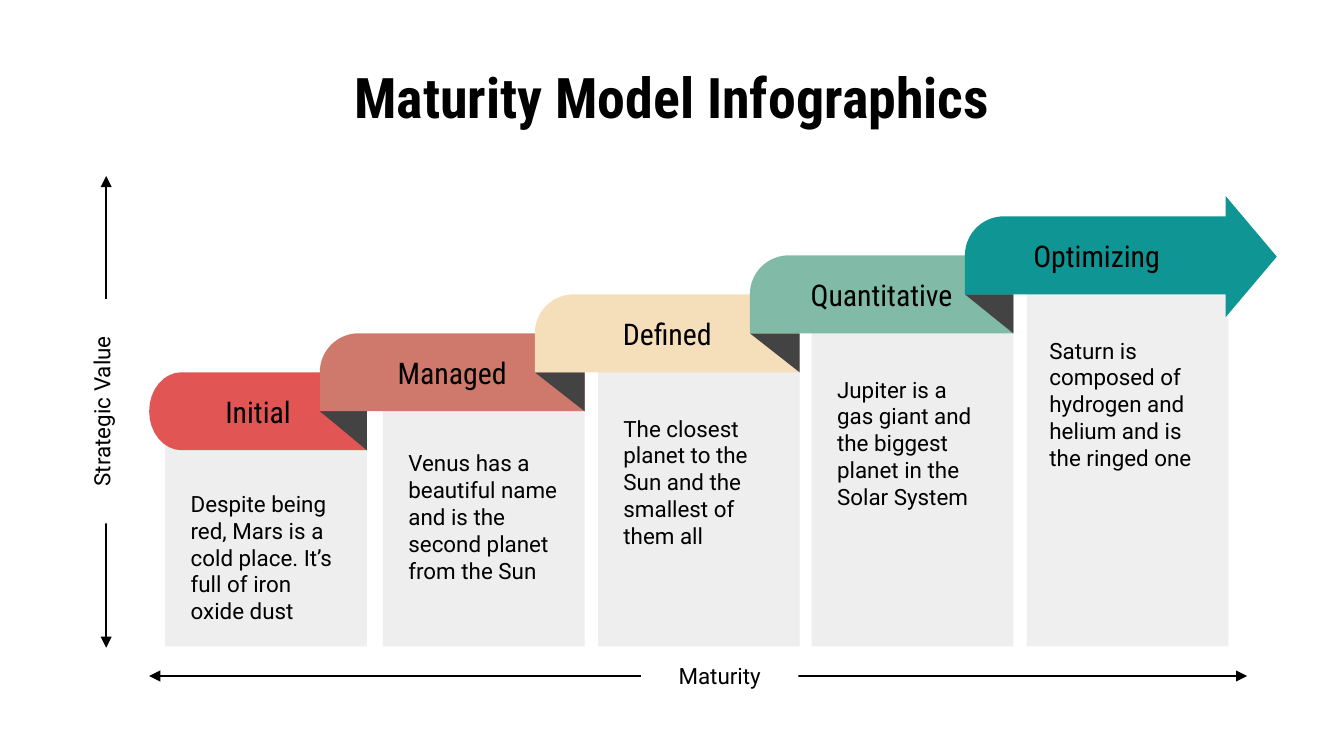
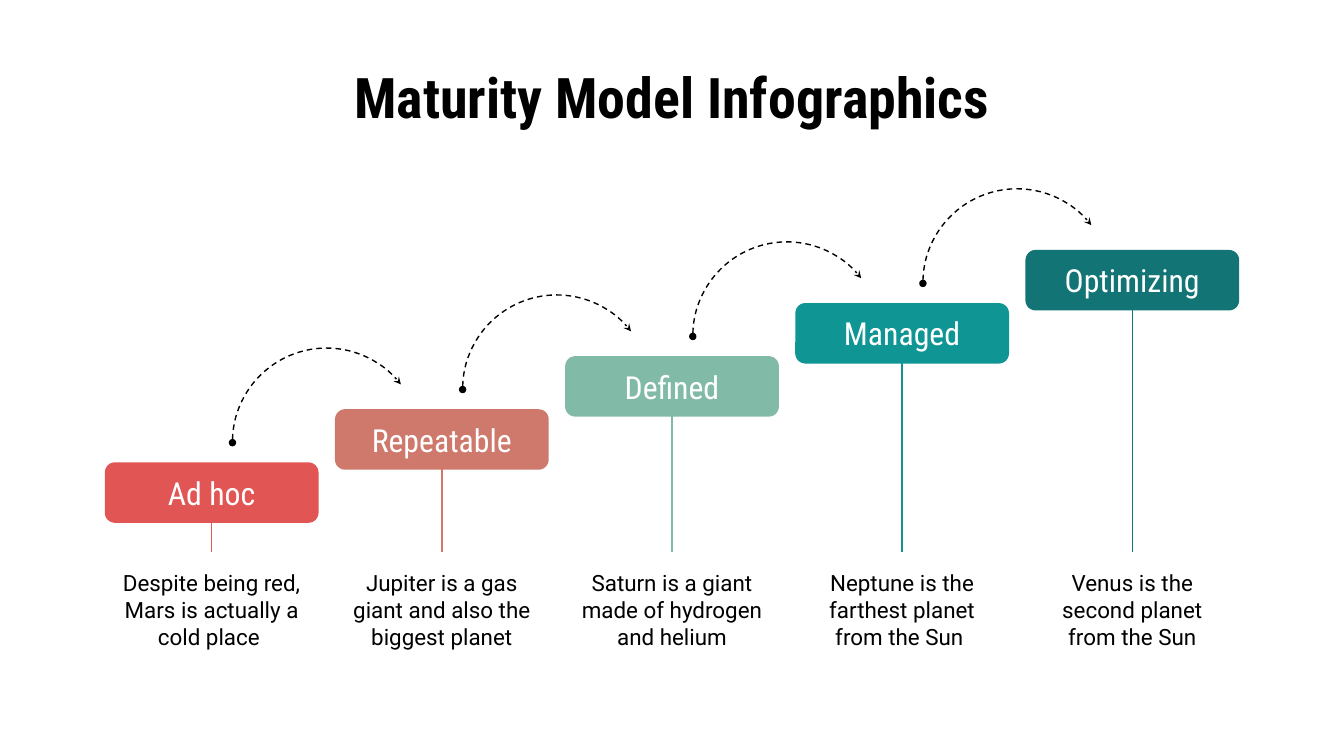
from dataclasses import dataclass
from math import cos, pi, sin

from lxml.etree import SubElement
from pptx import Presentation
from pptx.dml.color import RGBColor
from pptx.enum.dml import MSO_LINE
from pptx.enum.shapes import MSO_CONNECTOR, MSO_SHAPE as SHAPE
from pptx.enum.text import MSO_ANCHOR, PP_ALIGN as ALIGN
from pptx.oxml.ns import qn
from pptx.util import Inches, Pt


@dataclass(frozen=True)
class Theme:
    head: str = "Roboto Condensed"
    body: str = "Roboto"
    title_size: int = 30
    ribbon_size: int = 16
    button_size: int = 17
    body_size: int = 12
    line_width: float = 0.75
    black: str = "000000"
    white: str = "FFFFFF"
    panel: str = "EEEEEE"
    last_panel: str = "EFEFEF"
    fold: str = "434343"
    red: str = "E15554"
    clay: str = "CE796B"
    sand: str = "F5DFBB"
    sage: str = "82BAA8"
    teal: str = "0E9594"
    deep: str = "127475"


T = Theme()


def finish(s, fill=None, text="", size=T.body_size, font=T.body,
           color=T.black, align=ALIGN.CENTER, bold=False):
    """Give a shape its flat fill and, if any, its one paragraph of text."""
    s.shadow.inherit = False
    s.line.fill.background()
    if fill:
        s.fill.solid()
        s.fill.fore_color.rgb = RGBColor.from_string(fill)
    else:
        s.fill.background()
    if not text:
        return
    tf = s.text_frame
    tf.word_wrap = True
    tf.vertical_anchor = MSO_ANCHOR.MIDDLE
    tf.margin_left = tf.margin_right = Inches(0.1)
    tf.margin_top = tf.margin_bottom = Inches(0.1)
    p = tf.paragraphs[0]
    p.text = text
    p.alignment = align
    for r in p.runs:
        r.font.name = font
        r.font.size = Pt(size)
        r.font.bold = bold
        r.font.color.rgb = RGBColor.from_string(color)


def stroke(s, color=T.black, head=None, tail=None, end_size="med", dash=None):
    """Set the line of a connector or arc, its two ends, and no shadow."""
    s.line.width = Pt(T.line_width)
    s.line.color.rgb = RGBColor.from_string(color)
    if dash:
        s.line.dash_style = dash
    ln = s._element.spPr.find(qn("a:ln"))
    for tag, end in (("a:headEnd", head), ("a:tailEnd", tail)):
        if end:
            SubElement(ln, qn(tag), type=end, w=end_size, len=end_size)
    SubElement(s._element.spPr, qn("a:effectLst"))


prs = Presentation()
prs.slide_width = Inches(10)
prs.slide_height = prs.slide_width * 9 // 16
slides = [prs.slides.add_slide(prs.slide_layouts[6]) for _ in range(2)]
for slide in slides:
    s = slide.shapes.add_textbox(Inches(0.5), Inches(0.45), Inches(9), Inches(0.53))
    finish(s, None, "Maturity Model Infographics", T.title_size, T.head, bold=True)

# Slide 1: a folded ribbon climbing over five columns
shapes = slides[0].shapes
# label, colour, ribbon left, ribbon right, column top, text left, text top, text
stages = [
    ("Initial", T.red, 1.11, 2.73, 3.19, 1.32, 3.5,
     "Despite being red, Mars is a cold place. It’s full of iron oxide dust"),
    ("Managed", T.clay, 2.38, 4.35, 2.81, 2.94, 3.2,
     "Venus has a beautiful name and is the second planet from the Sun"),
    ("Defined", T.sand, 3.98, 5.95, 2.68, 4.54, 2.94,
     "The closest planet to the Sun and the smallest of them all"),
    ("Quantitative", T.sage, 5.58, 7.54, 2.28, 6.13, 2.65,
     "Jupiter is a gas giant and the biggest planet in the Solar System"),
    ("Optimizing", T.teal, 7.18, 9.14, 1.9, 7.71, 2.36,
     "Saturn is composed of hydrogen and helium and is the ringed one"),
]
column_w, column_bottom = 1.5, 4.81
half = 0.29  # half a ribbon's height, and the rise from one stage to the next
first_top = 2.77
arc_steps = 16

for label, _, _, right, top, text_x, text_y, text in stages:
    s = shapes.add_shape(SHAPE.RECTANGLE, Inches(right - column_w), Inches(top),
                         Inches(column_w), Inches(column_bottom - top))
    finish(s, T.last_panel if label == "Optimizing" else T.panel)
    s = shapes.add_textbox(Inches(text_x), Inches(text_y), Inches(1.31), Inches(1.29))
    finish(s, None, text, align=ALIGN.LEFT)

for i, (label, color, left, right, *_) in enumerate(stages):
    top = first_top - half * i
    middle, bottom = top + half, top + 2 * half
    outlines = []
    if i == 0:
        radius, sweep = 0.24, pi
    else:
        radius, sweep = half, pi / 2
        last_right = stages[i - 1][3]
        outlines.append((T.fold, "", [(left, bottom), (last_right, bottom + half),
                                      (last_right, bottom)]))
    angles = [sweep * k / arc_steps for k in range(arc_steps + 1)]
    curve = [(left + radius * (1 - sin(a)), middle - half * cos(a)) for a in angles]
    outlines.append((color, label, curve + [(left + (radius if i == 0 else 0), bottom),
                                            (right, bottom), (right, top)]))
    for fill, text, points in outlines:
        points = [(Inches(x), Inches(y)) for x, y in points]
        fb = shapes.build_freeform(*points[0])
        fb.add_line_segments(points[1:], close=True)
        finish(fb.convert_to_shape(), fill, text, T.ribbon_size, T.head)

s = shapes.add_shape(SHAPE.ISOSCELES_TRIANGLE, Inches(8.86), Inches(1.72),
                     Inches(0.9), Inches(0.38))
s.rotation = 90
finish(s, T.teal)

# axis ends, then label box, rotation and text
axes = [
    ((9.28, 5.03, 1.11, 5.03), (4.77, 4.9, 1.17, 0.26), 0, "Maturity"),
    ((0.79, 1.31, 0.79, 4.82), (-0.08, 2.92, 1.67, 0.28), 270, "Strategic Value"),
]
for ends, box, rotation, text in axes:
    s = shapes.add_connector(MSO_CONNECTOR.STRAIGHT, *map(Inches, ends))
    stroke(s, head="triangle", tail="triangle")
    s = shapes.add_shape(SHAPE.RECTANGLE, *map(Inches, box))
    s.rotation = rotation
    finish(s, T.white, text)

# Slide 2: five buttons joined by dashed arcs
shapes = slides[1].shapes
levels = [
    ("Ad hoc", T.red, "Despite being red, Mars is actually a cold place "),
    ("Repeatable", T.clay, "Jupiter is a gas giant and also the biggest planet"),
    ("Defined", T.sage, "Saturn is a giant made of hydrogen and helium"),
    ("Managed", T.teal, "Neptune is the farthest planet\vfrom the Sun "),
    ("Optimizing", T.deep, "Venus is the second planet from the Sun"),
]
button_w, button_h = 1.59, 0.45
span = 7.63 - 0.78
climb = 3.44 - 1.86
gaps = len(levels) - 1

for i, (label, color, text) in enumerate(levels):
    left = 0.78 + span * i / gaps
    top = 3.44 - climb * i / gaps
    center = left + button_w / 2
    if i < gaps:
        s = shapes.add_shape(SHAPE.ARC, Inches(left + 0.95), Inches(top - 0.85),
                             Inches(1.4), Inches(1.4))
        s.adjustments[0], s.adjustments[1] = 107.8, 193.31
        s.fill.background()
        stroke(s, head="oval", tail="stealth", end_size="sm", dash=MSO_LINE.DASH)
    level = shapes.add_group_shape().shapes
    s = level.add_connector(MSO_CONNECTOR.STRAIGHT, Inches(center), Inches(top + 0.36),
                            Inches(center), Inches(4.11))
    stroke(s, color)
    s = level.add_shape(SHAPE.ROUNDED_RECTANGLE, Inches(left), Inches(top),
                        Inches(button_w), Inches(button_h))
    finish(s, color, label, T.button_size, T.head, T.white)
    s = level.add_textbox(Inches(left), Inches(4.19), Inches(button_w), Inches(0.69))
    finish(s, None, text)

prs.save("out.pptx")
